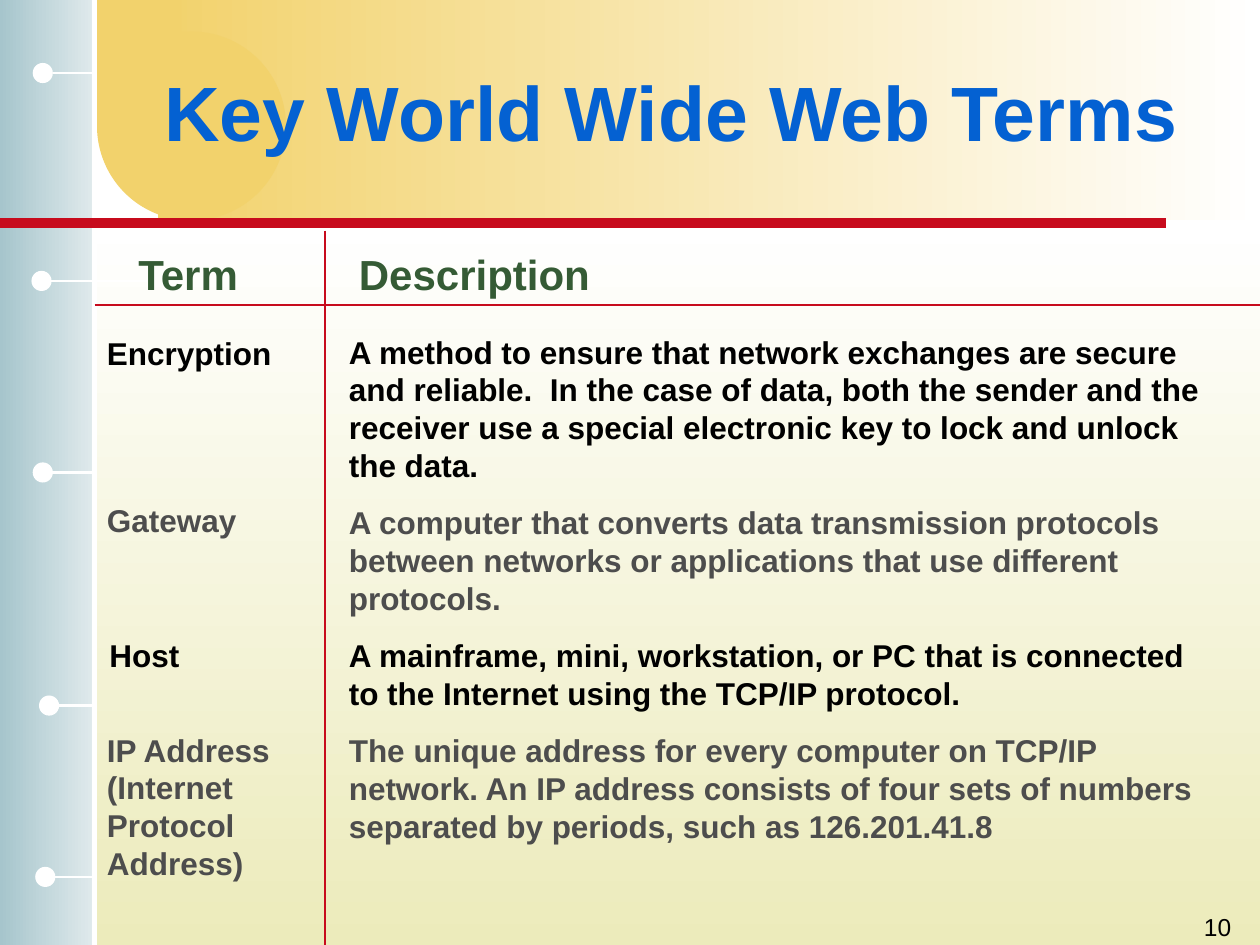
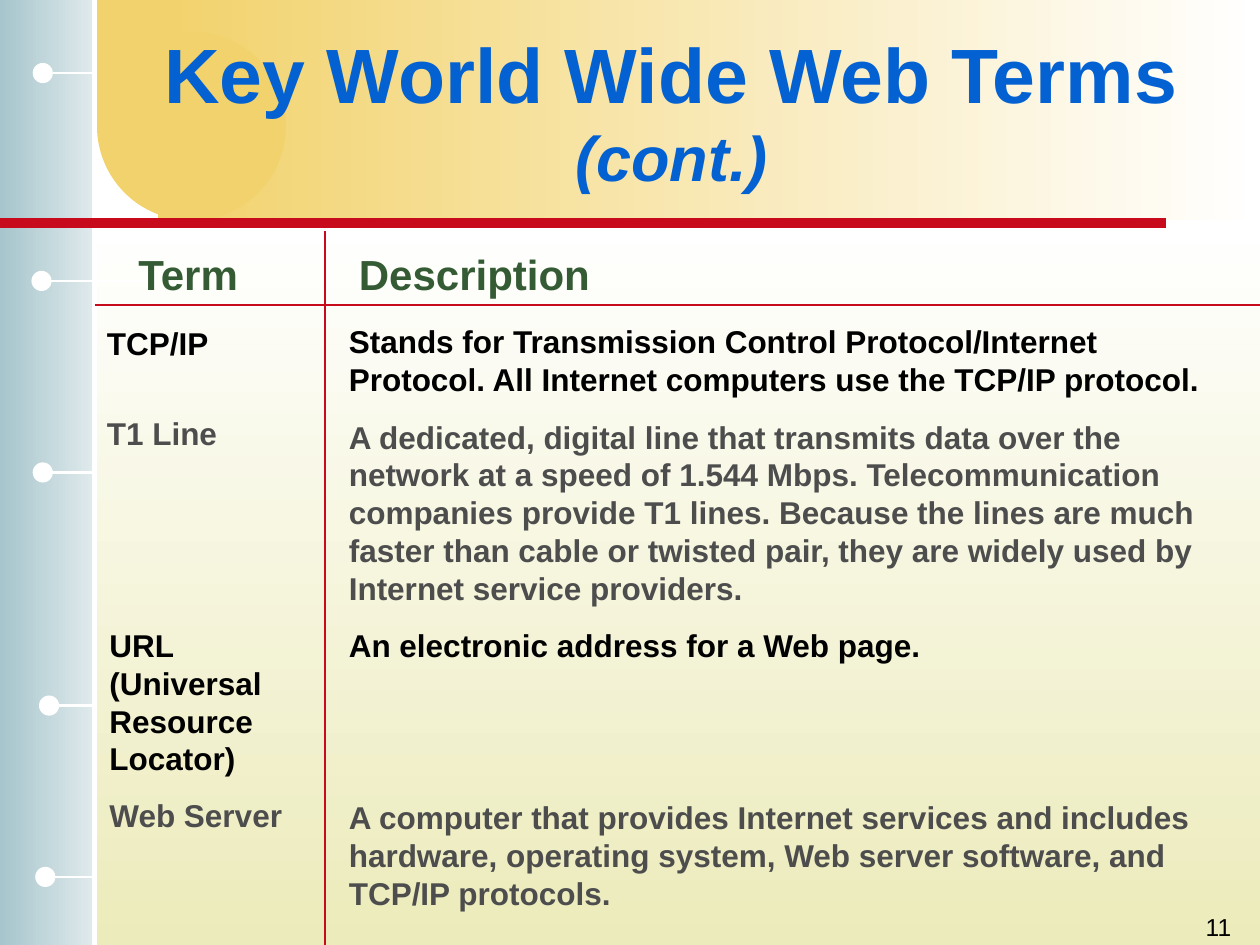
from dataclasses import dataclass

from lxml.etree import SubElement
from pptx import Presentation
from pptx.dml.color import RGBColor
from pptx.enum.shapes import MSO_CONNECTOR as Connector, MSO_SHAPE as Preset
from pptx.enum.text import MSO_ANCHOR as Anchor, MSO_AUTO_SIZE as AutoSize, PP_ALIGN as Align
from pptx.oxml.ns import qn
from pptx.slide import Slide
from pptx.text.text import Font, TextFrame
from pptx.util import Inches, Pt

COLORS = {
    "white": "FFFFFF",
    "cream": "ECEBBB",
    "mist": "E0EAEC",
    "teal": "A6C5CC",
    "gold": "F2D26C",
    "red": "C70B1D",
    "title": "0461D2",
    "heading": "355B35",
    "black": "000000",
    "gray": "4D4D4D",
}
FONT = "Arial"
ROW_COLORS = ("black", "gray")
ROW_GAP = 11.2
PIN_SIZE = 0.16


@dataclass
class Band:
    left: float
    top: float
    width: float
    height: float
    colors: tuple[str, ...]
    angle: int = 180
    preset: Preset = Preset.RECTANGLE


@dataclass
class Rule:
    start: tuple[float, float]
    end: tuple[float, float]
    color: str
    weight: float


@dataclass
class Pin:
    left: float
    center: float
    line_start: float
    line_end: float


@dataclass
class Style:
    size: float
    color: str
    bold: bool = True
    align: Align = Align.LEFT


@dataclass
class Term:
    name: str
    left: float
    top: float
    height: float
    description: str
    gap: float = ROW_GAP


@dataclass
class TermsPage:
    number: int
    suffix: str
    description_top: float
    description_height: float
    terms: list[Term]


BANDS = [
    Band(0.73, 1.77, 9.27, 5.73, ("white", "cream"), 270),
    Band(0, 0, 0.75, 7.5, ("mist", "teal")),
    Band(1.25, 0, 8.75, 1.75, ("white", "gold")),
    Band(0.77, 0.25, 1.5, 1.5, ("gold",), preset=Preset.OVAL),
    Band(0.77, 0, 0.67, 0.96, ("gold",)),
]
PINS = [
    Pin(0.26, 0.58, 0.75, 0.42),
    Pin(0.25, 2.23, 1.17, 0.33),
    Pin(0.26, 3.75, 0.73, 0.4),
    Pin(0.31, 5.6, 0.75, 0.42),
    Pin(0.28, 6.96, 0.73, 0.4),
]
SPINE = Rule((0.75, 0), (0.75, 7.5), "white", 3)
TITLE_RULE = Rule((0, 1.77), (9.25, 1.77), "red", 6)
GRID_RULES = [
    Rule((0.75, 2.42), (10, 2.42), "red", 0.74),
    Rule((2.58, 1.83), (2.58, 7.5), "red", 0.74),
]

PAGES = [
    TermsPage(10, "", 2.59, 4.17, [
        Term("Encryption", 0.75, 2.6, 0.4,
             "A method to ensure that network exchanges are secure and reliable.  "
             "In the case of data, both the sender and the receiver use a special "
             "electronic key to lock and unlock the data."),
        Term("Gateway", 0.75, 3.93, 0.4,
             "A computer that converts data transmission protocols between networks "
             "or applications that use different protocols."),
        Term("Host", 0.77, 5, 0.4,
             "A mainframe, mini, workstation, or PC that is connected to the Internet "
             "using the TCP/IP protocol."),
        Term("IP Address (Internet Protocol Address)", 0.75, 5.75, 1.3,
             "The unique address for every computer on TCP/IP network. An IP address "
             "consists of four sets of numbers separated by periods, such as 126.201.41.8"),
    ]),
    TermsPage(11, "(cont.)", 2.51, 4.78, [
        Term("TCP/IP", 0.75, 2.52, 0.4,
             "Stands for Transmission Control Protocol/Internet Protocol. "
             "All Internet computers use the TCP/IP protocol."),
        Term("T1 Line", 0.75, 3.24, 0.4,
             "A dedicated, digital line that transmits data over the network at a speed "
             "of 1.544 Mbps. Telecommunication companies provide T1 lines. Because the "
             "lines are much faster than cable or twisted pair, they are widely used by "
             "Internet service providers."),
        Term("URL (Universal Resource Locator)", 0.77, 4.92, 1.3,
             "An electronic address for a Web page."),
        Term("Web Server", 0.77, 6.27, 0.4,
             "A computer that provides Internet services and includes hardware, operating "
             "system, Web server software, and TCP/IP protocols.", gap=76.8),
    ]),
]


def rgb(name: str) -> RGBColor:
    return RGBColor.from_string(COLORS[name])


def draw_band(page: Slide, band: Band) -> None:
    shape = page.shapes.add_shape(band.preset, Inches(band.left), Inches(band.top),
                                  Inches(band.width), Inches(band.height))
    shape.shadow.inherit = False
    shape.line.fill.background()
    if len(band.colors) == 1:
        shape.fill.solid()
        shape.fill.fore_color.rgb = rgb(band.colors[0])
        return
    shape.fill.gradient()
    shape.fill.gradient_angle = band.angle
    for position, (stop, color) in enumerate(zip(shape.fill.gradient_stops, band.colors)):
        stop.position = position
        stop.color.rgb = rgb(color)


def draw_rule(page: Slide, rule: Rule) -> None:
    line = page.shapes.add_connector(Connector.STRAIGHT, *map(Inches, rule.start + rule.end))
    line.line.color.rgb = rgb(rule.color)
    line.line.width = Pt(rule.weight)
    SubElement(line._element.spPr, qn("a:effectLst"))


def draw_pin(page: Slide, pin: Pin) -> None:
    draw_rule(page, Rule((pin.line_start, pin.center), (pin.line_end, pin.center), "white", 1.5))
    draw_band(page, Band(pin.left, pin.center - PIN_SIZE / 2, PIN_SIZE, PIN_SIZE,
                         ("white",), preset=Preset.OVAL))


def set_font(font: Font, style: Style) -> None:
    font.name = FONT
    font.size = Pt(style.size)
    font.bold = style.bold
    font.color.rgb = rgb(style.color)


def draw_text(page: Slide, left: float, top: float, width: float, height: float,
              lines: list[tuple[str, Style, float]],
              auto_size: AutoSize = AutoSize.SHAPE_TO_FIT_TEXT) -> TextFrame:
    box = page.shapes.add_textbox(Inches(left), Inches(top), Inches(width), Inches(height))
    frame = box.text_frame
    frame.word_wrap = True
    frame.auto_size = auto_size
    for index, (text, style, gap) in enumerate(lines):
        para = frame.add_paragraph() if index else frame.paragraphs[0]
        para.add_run().text = text
        para.alignment = style.align
        para.space_before = Pt(gap)
        set_font(para.font, style)
    return frame


def draw_title(page: Slide, suffix: str) -> None:
    style = Style(44, "title", align=Align.CENTER)
    text = "Key World Wide Web Terms" + (" " if suffix else "")
    frame = draw_text(page, 1.08, 0.25, 8.5, 1.25, [(text, style, 0)], AutoSize.NONE)
    frame.vertical_anchor = Anchor.MIDDLE
    if suffix:
        span = frame.paragraphs[0].add_run()
        span.text = suffix
        span.font.size = Pt(36)
        span.font.italic = True


def draw_frame(page: Slide) -> None:
    for band in BANDS:
        draw_band(page, band)
    draw_rule(page, SPINE)
    for pin in PINS:
        draw_pin(page, pin)
    draw_rule(page, TITLE_RULE)


def draw_terms(page: Slide, content: TermsPage) -> None:
    heading = Style(24, "heading")
    for text, left, width in (("Term", 1, 1.1), ("Description", 2.75, 2.15)):
        draw_text(page, left, 1.92, width, 0.5, [(text, heading, 0)])
    for rule in GRID_RULES:
        draw_rule(page, rule)
    descriptions = []
    for index, term in enumerate(content.terms):
        style = Style(18, ROW_COLORS[index % 2])
        draw_text(page, term.left, term.top, 1.75, term.height, [(term.name, style, ROW_GAP)])
        descriptions.append((term.description, style, term.gap))
    draw_text(page, 2.67, content.description_top, 7.08, content.description_height, descriptions)


def main() -> None:
    deck = Presentation()
    deck.slide_width, deck.slide_height = Inches(10), Inches(7.5)
    number_style = Style(14, "black", bold=False, align=Align.RIGHT)
    for content in PAGES:
        page = deck.slides.add_slide(deck.slide_layouts[6])
        draw_frame(page)
        draw_title(page, content.suffix)
        draw_terms(page, content)
        draw_text(page, 7.79, 7.19, 2.08, 0.5, [(str(content.number), number_style, 0)],
                  AutoSize.NONE)
    deck.save("out.pptx")


main()
